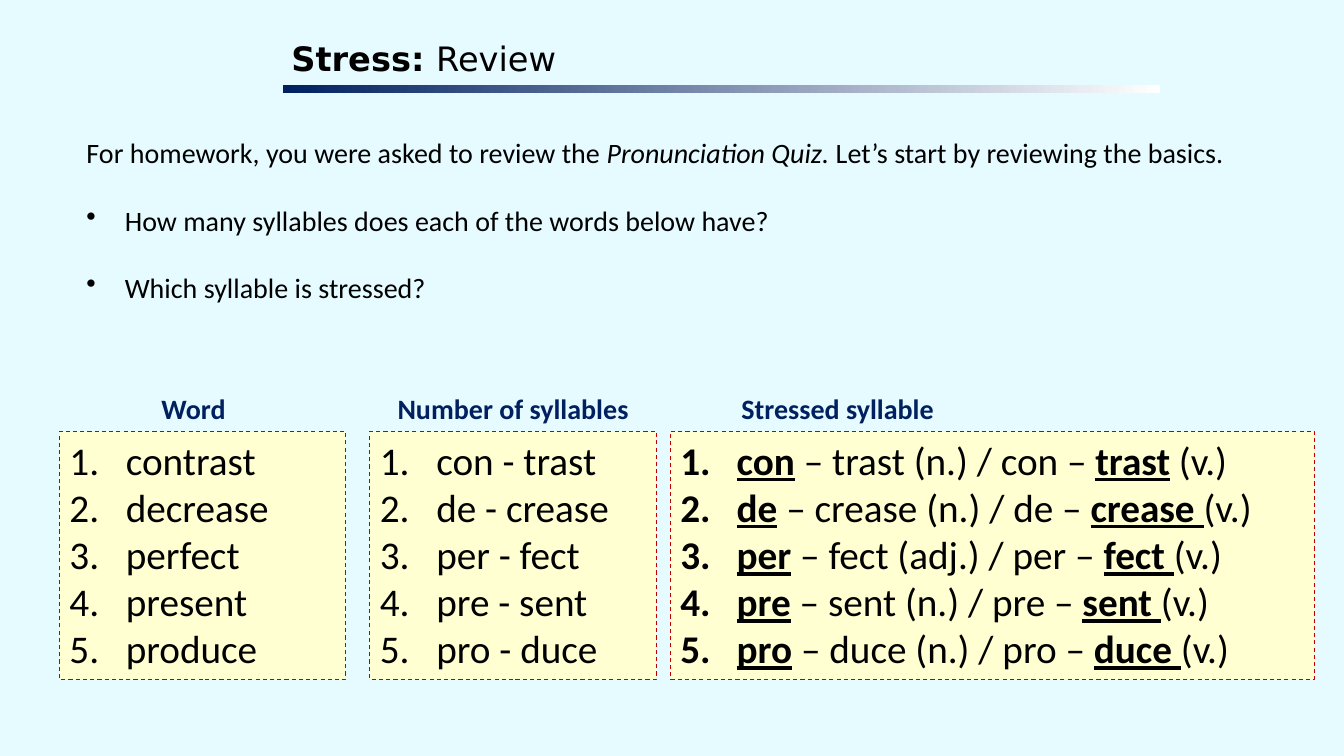
from dataclasses import dataclass

from lxml import etree
from pptx import Presentation
from pptx import util as u
from pptx.dml.color import RGBColor
from pptx.enum import dml, shapes, text
from pptx.oxml import ns


@dataclass(frozen=True)
class Theme:
    background: str = "E5FBFF"
    ink: str = "000000"
    navy: str = "002060"
    white: str = "FFFFFF"
    card: str = "FFFFD1"
    border: str = "C00000"
    title_font: str = "DejaVu Sans"
    body_font: str = "Calibri"
    title_size: int = 24
    body_size: int = 20
    card_size: int = 28


@dataclass(frozen=True)
class Box:
    """Position and size in percent of the slide's width and height."""
    left: float
    top: float
    width: float
    height: float


@dataclass(frozen=True)
class Style:
    font: str
    size: int
    color: str
    bold: bool = False
    emphasis: tuple[str, ...] = ()  # font attributes of the words between underscores


@dataclass(frozen=True)
class Column:
    heading: str
    heading_left: float
    heading_width: float
    left: float
    width: float
    words: tuple[str, ...]


T = Theme()
TITLE = Style(T.title_font, T.title_size, T.ink, emphasis=("bold",))
BODY = Style(T.body_font, T.body_size, T.ink, emphasis=("italic",))
HEADING = Style(T.body_font, T.body_size, T.navy, bold=True)
WORDS = Style(T.body_font, T.card_size, T.ink, emphasis=("bold", "underline"))

HEADING_TOP, HEADING_HEIGHT = 51.07, 5.87
CARD_TOP, CARD_HEIGHT = 57.07, 32.8

COLUMNS = (
    Column("Word", 10.8, 7.2, 4.43, 21.3,
           ("contrast", "decrease", "perfect", "present", "produce")),
    Column("Number of syllables", 27.53, 21.3, 27.53, 21.3,
           ("con - trast", "de - crease", "per - fect", "pre - sent", "pro - duce")),
    Column("Stressed syllable", 51.68, 21.3, 49.88, 47.93,
           ("_con_ – trast (n.) / con – _trast_ (v.)",
            "_de_ – crease (n.) / de – _crease _(v.)",
            "_per_ – fect (adj.) / per – _fect _(v.)",
            "_pre_ – sent (n.) / pre – _sent _(v.)",
            "_pro_ – duce (n.) / pro – _duce _(v.)")),
)

prs = Presentation()
prs.slide_width, prs.slide_height = u.Inches(13.33), u.Inches(7.5)
s = prs.slides.add_slide(prs.slide_layouts[6])
s.background.fill.solid()
s.background.fill.fore_color.rgb = RGBColor.from_string(T.background)


def place(box: Box) -> tuple[int, int, int, int]:
    w, h = prs.slide_width, prs.slide_height
    return (round(w * box.left / 100), round(h * box.top / 100),
            round(w * box.width / 100), round(h * box.height / 100))


def write(p, marked: str, style: Style) -> None:
    """Write a paragraph, emphasising the words between underscores."""
    for i, part in enumerate(marked.split("_")):
        if not part:
            continue
        r = p.add_run()
        r.text = part
        r.font.name, r.font.size = style.font, u.Pt(style.size)
        r.font.color.rgb = RGBColor.from_string(style.color)
        r.font.bold = style.bold
        if i % 2:
            for attribute in style.emphasis:
                setattr(r.font, attribute, True)


def add_marker(p, indent: float, tag: str, **attributes: str) -> None:
    """Give a paragraph a hanging bullet or number."""
    pPr = p._p.get_or_add_pPr()
    pPr.set("marL", str(u.Inches(indent)))
    pPr.set("indent", str(-u.Inches(indent)))
    etree.SubElement(pPr, ns.qn(tag), attributes)


def add_text(box: Box):
    tf = s.shapes.add_textbox(*place(box)).text_frame
    tf.word_wrap = True
    return tf


def add_rectangle(box: Box):
    sp = s.shapes.add_shape(shapes.MSO_SHAPE.RECTANGLE, *place(box))
    sp.shadow.inherit = False
    return sp


def add_column(column: Column) -> None:
    # Card with numbered words
    sp = add_rectangle(Box(column.left, CARD_TOP, column.width, CARD_HEIGHT))
    sp.fill.solid()
    sp.fill.fore_color.rgb = RGBColor.from_string(T.card)
    sp.line.color.rgb = RGBColor.from_string(T.border)
    sp.line.width = u.Pt(0.75)
    sp.line.dash_style = dml.MSO_LINE.DASH
    tf = sp.text_frame
    tf.word_wrap = True
    tf.vertical_anchor = text.MSO_ANCHOR.TOP
    for i, word in enumerate(column.words):
        p = tf.add_paragraph() if i else tf.paragraphs[0]
        p.alignment = text.PP_ALIGN.LEFT
        add_marker(p, 0.56, "a:buAutoNum", type="arabicPeriod")
        write(p, word, WORDS)

    # Heading above the card
    tf = add_text(Box(column.heading_left, HEADING_TOP, column.heading_width, HEADING_HEIGHT))
    p = tf.paragraphs[0]
    p.alignment = text.PP_ALIGN.CENTER
    write(p, column.heading, HEADING)


# Title
tf = add_text(Box(21.38, 4.13, 64.95, 7.07))
tf.margin_left = tf.margin_top = tf.margin_right = tf.margin_bottom = u.Inches(0.04)
tf.vertical_anchor = text.MSO_ANCHOR.MIDDLE
write(tf.paragraphs[0], "_Stress: _Review", TITLE)

# Fading rule under the title
sp = add_rectangle(Box(21.08, 11.2, 65.25, 1.07))
sp.line.fill.background()
sp.fill.gradient()
sp.fill.gradient_angle = 180
for stop, color in zip(sp.fill.gradient_stops, (T.white, T.navy)):
    stop.color.rgb = RGBColor.from_string(color)

# Introduction and questions
tf = add_text(Box(5.7, 17.33, 87.98, 23.73))
write(tf.paragraphs[0], "For homework, you were asked to review the _Pronunciation Quiz. _"
      "Let’s start by reviewing the basics.", BODY)
for question in ("How many syllables does each of the words below have?",
                 "Which syllable is stressed?"):
    p = tf.add_paragraph()
    p.space_before = u.Pt(24)
    add_marker(p, 0.38, "a:buChar", char="•")
    write(p, question, BODY)

# Word columns
for column in COLUMNS:
    add_column(column)

prs.save("out.pptx")
